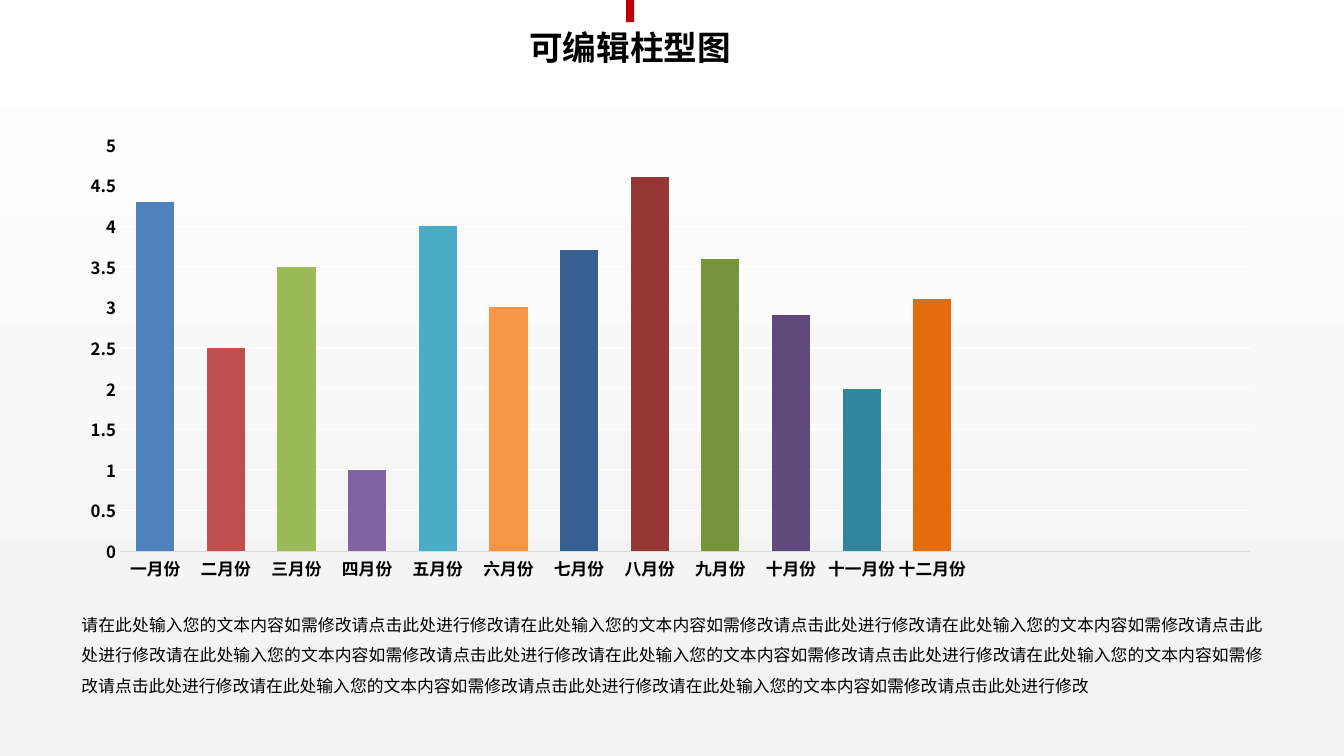
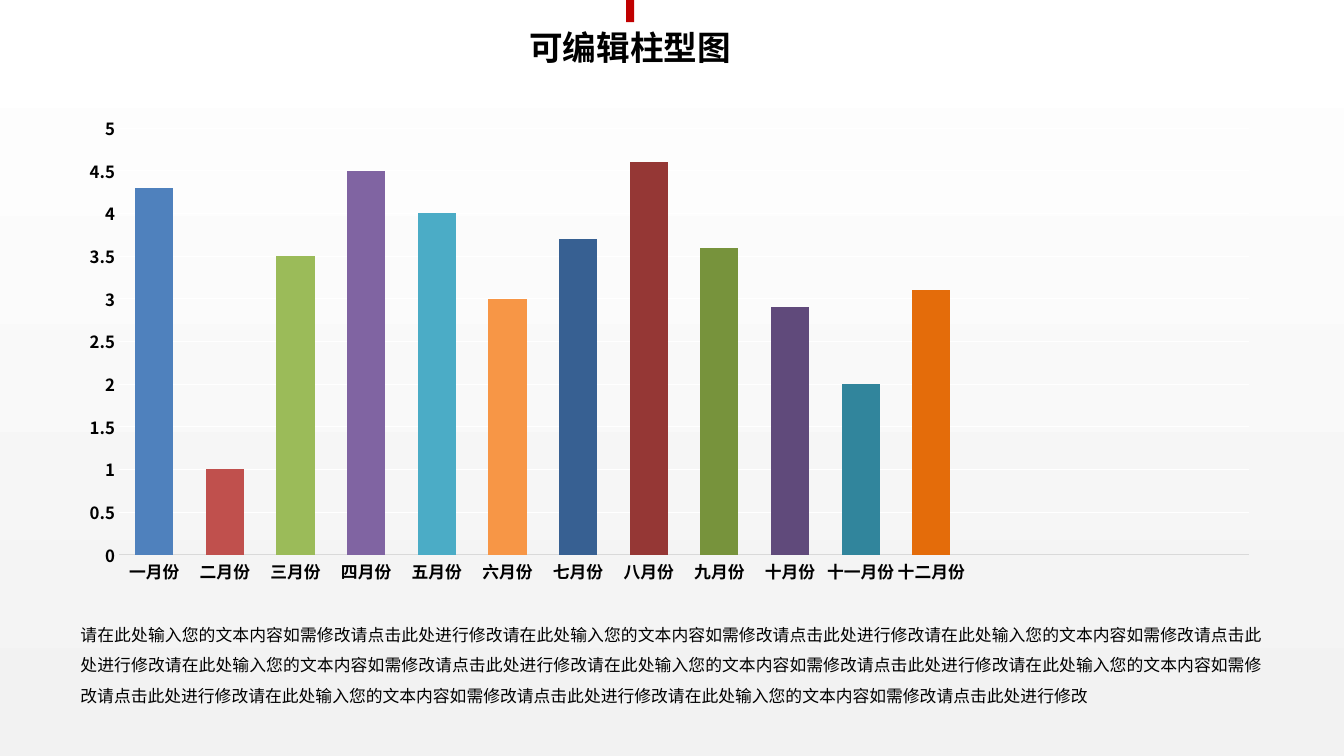
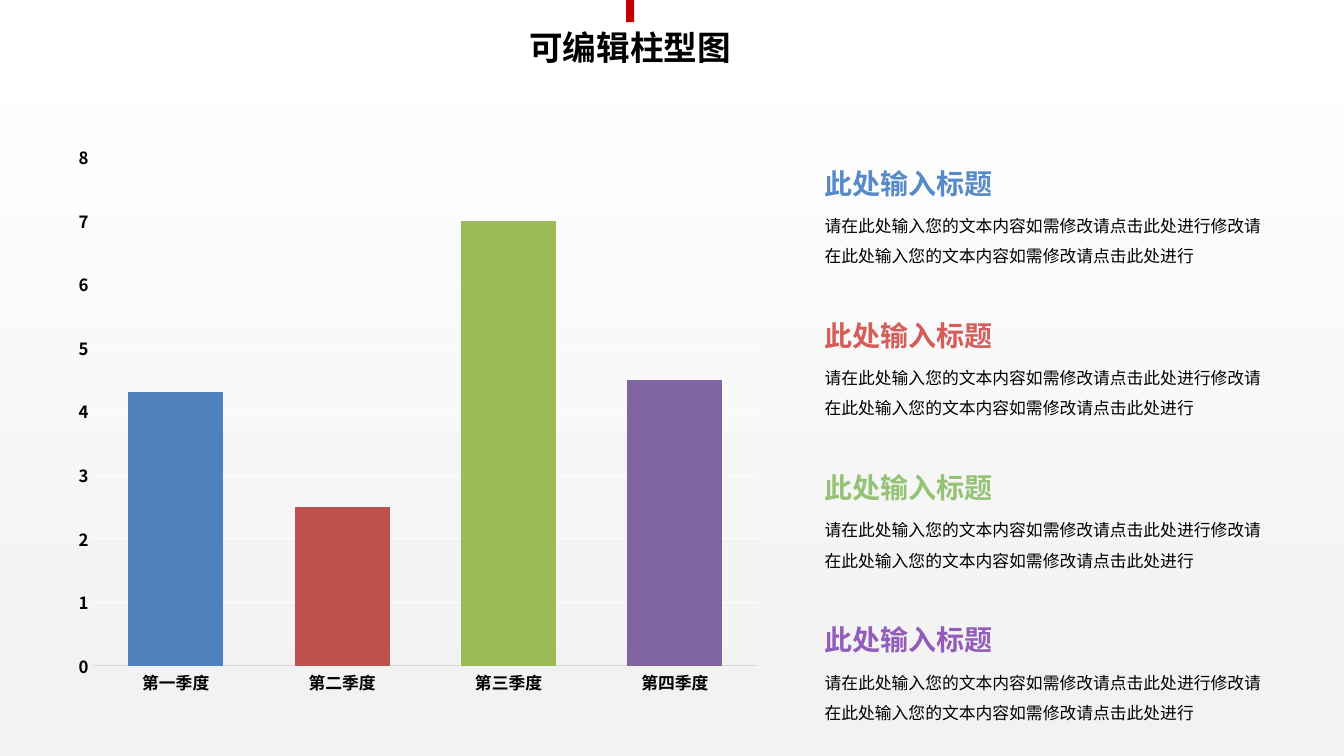
"""Build three slides of editable column charts with their captions."""
from dataclasses import dataclass

from lxml import etree
from pptx import Presentation
from pptx.chart.data import CategoryChartData
from pptx.dml.color import RGBColor
from pptx.enum.chart import XL_CHART_TYPE, XL_TICK_MARK
from pptx.enum.shapes import MSO_SHAPE
from pptx.enum.text import MSO_AUTO_SIZE, PP_ALIGN
from pptx.oxml.ns import qn
from pptx.util import Inches, Pt

COLUMNS = XL_CHART_TYPE.COLUMN_CLUSTERED
NO_TICK = XL_TICK_MARK.NONE
RECTANGLE = MSO_SHAPE.RECTANGLE
GROW = MSO_AUTO_SIZE.SHAPE_TO_FIT_TEXT
LEFT, CENTER, JUSTIFY = PP_ALIGN.LEFT, PP_ALIGN.CENTER, PP_ALIGN.JUSTIFY

TEXT_FONT = "Noto Sans CJK SC"
CHART_FONT = "Noto Sans CJK JP"

BLACK = RGBColor(0x00, 0x00, 0x00)
WHITE = RGBColor(0xFF, 0xFF, 0xFF)
PALE_GRAY = RGBColor(0xF2, 0xF2, 0xF2)
AXIS_GRAY = RGBColor(0xD9, 0xD9, 0xD9)
MARK_RED = RGBColor(0xC0, 0x00, 0x00)
COLUMN_COLORS = [
    RGBColor(0x4F, 0x81, 0xBD), RGBColor(0xC0, 0x50, 0x4D),
    RGBColor(0x9B, 0xBB, 0x59), RGBColor(0x80, 0x64, 0xA2),
    RGBColor(0x4B, 0xAC, 0xC6), RGBColor(0xF7, 0x96, 0x46),
    RGBColor(0x37, 0x60, 0x92), RGBColor(0x95, 0x37, 0x35),
    RGBColor(0x77, 0x93, 0x3C), RGBColor(0x60, 0x4A, 0x7B),
    RGBColor(0x31, 0x85, 0x9C), RGBColor(0xE4, 0x6C, 0x0A),
]
HEADING_COLORS = [
    RGBColor(0x57, 0x8A, 0xC8), RGBColor(0xD5, 0x5E, 0x5A),
    RGBColor(0x94, 0xC3, 0x75), RGBColor(0x93, 0x5D, 0xBB),
]

TITLE = "可编辑柱型图"
HEADING = "此处输入标题"
SENTENCE = "请在此处输入您的文本内容如需修改请点击此处进行修改"
LONG_TEXT = SENTENCE * 8
SHORT_TEXT = SENTENCE + SENTENCE.removesuffix("修改")
MONTHS = [f"{number}月份" for number in
          "一 二 三 四 五 六 七 八 九 十 十一 十二".split()]
QUARTERS = [f"第{number}季度" for number in "一二三四"]
EMPTY_SLOTS = 4


@dataclass(frozen=True)
class Box:
    """A place on the slide, in inches."""
    left: float
    top: float
    width: float
    height: float

    def lengths(self) -> tuple:
        """Return the four measures as lengths."""
        return tuple(Inches(v) for v in
                     (self.left, self.top, self.width, self.height))


@dataclass(frozen=True)
class ColumnChart:
    """The data and layout of one column chart."""
    box: Box
    categories: list[str]
    values: list[float]
    maximum: float
    unit: float
    gap: int
    empty_slots: int = 0
    category_font: str = CHART_FONT


@dataclass(frozen=True)
class YearSlide:
    """A monthly chart and the box of its caption."""
    chart: ColumnChart
    caption: Box


YEARS = [
    YearSlide(
        ColumnChart(Box(0.66, 1.22, 11.98, 4.63), MONTHS,
                    [4.3, 2.5, 3.5, 1, 4, 3, 3.7, 4.6, 3.6, 2.9, 2, 3.1],
                    5, 0.5, 85, EMPTY_SLOTS, TEXT_FONT),
        Box(0.71, 5.95, 11.93, 0.97)),
    YearSlide(
        ColumnChart(Box(0.65, 1.05, 11.98, 4.84), MONTHS,
                    [4.3, 1, 3.5, 4.5, 4, 3, 3.7, 4.6, 3.6, 2.9, 2, 3.1],
                    5, 0.5, 85, EMPTY_SLOTS),
        Box(0.7, 6.05, 11.93, 0.97)),
]
QUARTER_CHART = ColumnChart(Box(0.64, 1.32, 7.02, 5.69), QUARTERS,
                            [4.3, 2.5, 7, 4.5], 8, 1, 75)
NOTES_LEFT, NOTES_TOP, NOTE_PITCH, NOTE_BODY_DROP = 8.08, 1.6, 1.51, 0.39


def add_east_asian_font(root) -> None:
    """Set the Chinese typeface beside every Latin one under root."""
    for latin in list(root.iter(qn("a:latin"))):
        east_asian = etree.Element(qn("a:ea"))
        east_asian.set("typeface", TEXT_FONT)
        latin.addnext(east_asian)


def add_text(slide, text: str, box: Box, *, size: float = 12,
             color: RGBColor = BLACK, bold: bool = False,
             align: PP_ALIGN = LEFT, spacing: float = 1.0) -> None:
    """Add a wrapped one-paragraph text box."""
    frame = slide.shapes.add_textbox(*box.lengths()).text_frame
    frame.word_wrap = True
    frame.auto_size = GROW
    paragraph = frame.paragraphs[0]
    paragraph.alignment = align
    paragraph.line_spacing = spacing
    run = paragraph.add_run()
    run.text = text
    run.font.name = TEXT_FONT
    run.font.size = Pt(size)
    run.font.bold = bold
    run.font.color.rgb = color
    add_east_asian_font(paragraph._p)


def style_axis(axis, font_name: str) -> None:
    """Give an axis bold black labels and no ticks."""
    axis.major_tick_mark = NO_TICK
    axis.minor_tick_mark = NO_TICK
    font = axis.tick_labels.font
    font.name = font_name
    font.size = Pt(12)
    font.bold = True
    font.color.rgb = BLACK


def style_line(line, color: RGBColor) -> None:
    """Give a chart line its colour and width."""
    line.color.rgb = color
    line.width = Pt(0.75)


def add_column_chart(slide, spec_data: ColumnChart) -> None:
    """Add a column chart with one colour a column."""
    data = CategoryChartData()
    data.categories = spec_data.categories + [""] * spec_data.empty_slots
    data.add_series("Series 1",
                    spec_data.values + [None] * spec_data.empty_slots)
    chart = slide.shapes.add_chart(
        COLUMNS, *spec_data.box.lengths(), data).chart
    chart.has_title = False
    chart.has_legend = False
    chart.font.name = CHART_FONT
    chart.font.size = Pt(10)
    chart.font.color.rgb = BLACK

    style_axis(chart.category_axis, spec_data.category_font)
    style_line(chart.category_axis.format.line, AXIS_GRAY)
    scale = chart.value_axis
    style_axis(scale, CHART_FONT)
    scale.format.line.fill.background()
    scale.minimum_scale = 0
    scale.maximum_scale = spec_data.maximum
    scale.major_unit = spec_data.unit
    scale.has_major_gridlines = True
    style_line(scale.major_gridlines.format.line, WHITE)

    plot = chart.plots[0]
    plot.vary_by_categories = False
    plot.gap_width = spec_data.gap
    columns = plot.series[0]
    columns.format.fill.solid()
    columns.format.fill.fore_color.rgb = COLUMN_COLORS[0]
    for index in range(1, len(spec_data.values)):
        fill = columns.points[index].format.fill
        fill.solid()
        fill.fore_color.rgb = COLUMN_COLORS[index]
    add_east_asian_font(chart._chartSpace)


def set_background(master) -> None:
    """Shade every slide from white down to pale gray."""
    fill = master.background.fill
    fill.gradient()
    fill.gradient_angle = 270
    for stop, color in zip(fill.gradient_stops, (WHITE, PALE_GRAY)):
        stop.color.rgb = color


def add_chart_slide(prs, chart: ColumnChart):
    """Add a slide with its chart, title and red mark."""
    slide = prs.slides.add_slide(prs.slide_layouts[6])
    add_column_chart(slide, chart)
    add_text(slide, TITLE, Box(3.65, 0.22, 5.2, 0.5),
             size=24, bold=True, align=CENTER)
    mark = slide.shapes.add_shape(RECTANGLE, *Box(6.21, 0, 0.08, 0.22).lengths())
    mark.shadow.inherit = False
    mark.fill.solid()
    mark.fill.fore_color.rgb = MARK_RED
    mark.line.fill.background()
    return slide


def main() -> None:
    """Build and save the presentation."""
    prs = Presentation()
    prs.slide_width, prs.slide_height = Inches(13.33), Inches(7.5)
    set_background(prs.slide_master)

    for year in YEARS:
        slide = add_chart_slide(prs, year.chart)
        add_text(slide, LONG_TEXT, year.caption, align=JUSTIFY, spacing=1.5)

    slide = add_chart_slide(prs, QUARTER_CHART)
    for row, color in enumerate(HEADING_COLORS):
        top = NOTES_TOP + row * NOTE_PITCH
        add_text(slide, HEADING, Box(NOTES_LEFT, top, 2.52, 0.44),
                 size=20, color=color, bold=True)
        add_text(slide, SHORT_TEXT,
                 Box(NOTES_LEFT, top + NOTE_BODY_DROP, 4.67, 0.71), spacing=1.5)

    prs.save("out.pptx")


if __name__ == "__main__":
    main()
